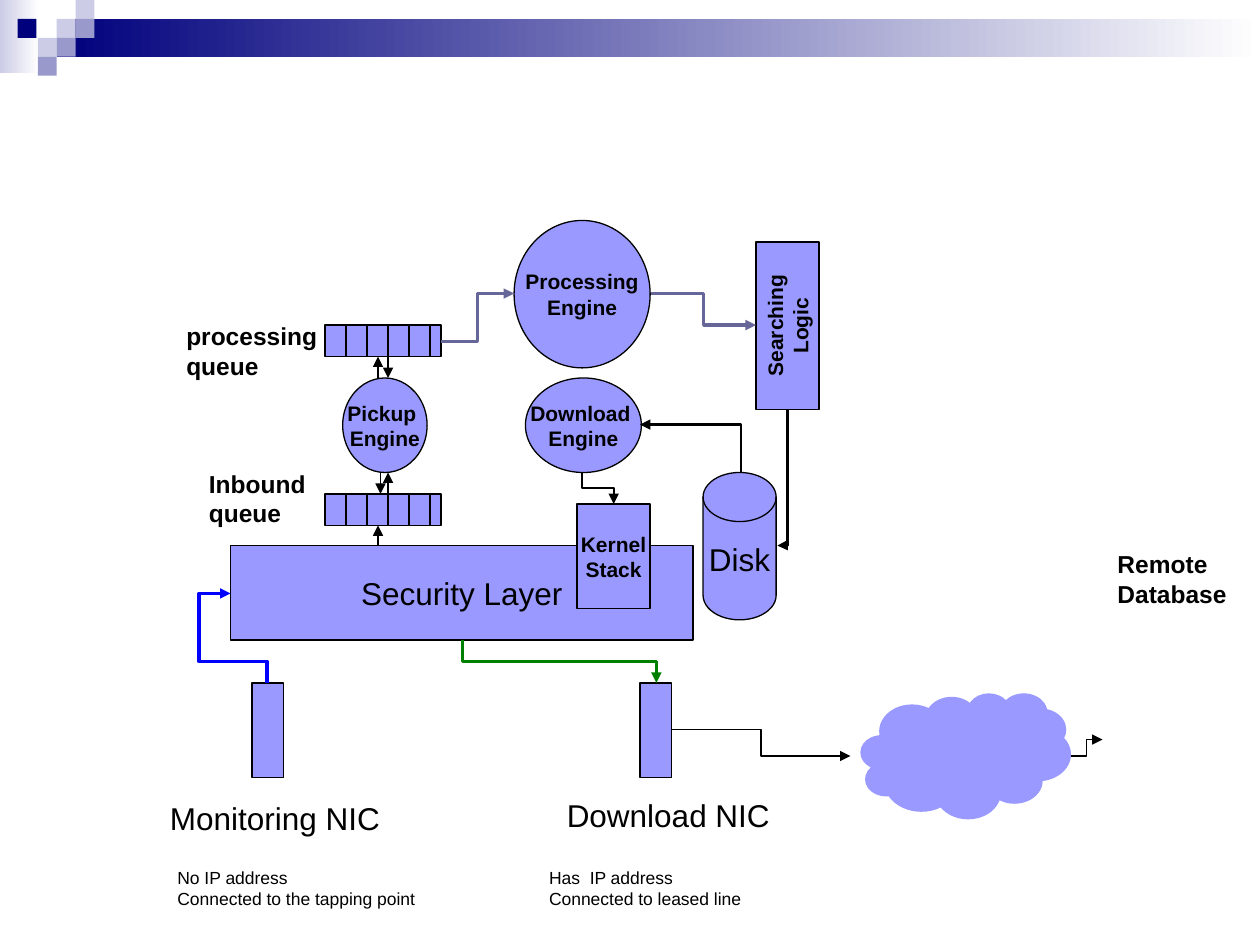
from lxml import etree
from pptx import Presentation
from pptx.dml.color import RGBColor
from pptx.enum.shapes import MSO_CONNECTOR, MSO_SHAPE
from pptx.enum.text import MSO_ANCHOR, MSO_AUTO_SIZE, PP_ALIGN
from pptx.oxml.ns import qn
from pptx.util import Inches, Pt

RECT, OVAL = MSO_SHAPE.RECTANGLE, MSO_SHAPE.OVAL
DISK, CLOUD = MSO_SHAPE.FLOWCHART_MAGNETIC_DISK, MSO_SHAPE.CLOUD_CALLOUT
LINE, ELBOW = MSO_CONNECTOR.STRAIGHT, MSO_CONNECTOR.ELBOW
MIDDLE, CENTER, LEFT = MSO_ANCHOR.MIDDLE, PP_ALIGN.CENTER, PP_ALIGN.LEFT
GROW = MSO_AUTO_SIZE.SHAPE_TO_FIT_TEXT
BLACK, WHITE, LILAC, SLATE = "000000", "FFFFFF", "9999FF", "666699"
NAVY, PALE, MID = "00007D", "CCCCE6", "9999CC"


def color(code):
    """Turn a hex string into a colour."""
    return RGBColor.from_string(code)


def write(shape, text, size, bold, align, wrap):
    """Fill a shape with lines of text."""
    frame = shape.text_frame
    frame.text = text
    frame.word_wrap = wrap
    for para in frame.paragraphs:
        para.alignment = align
        para.font.name = "Arial"
        para.font.size = Pt(size)
        para.font.bold = bold
        para.font.color.rgb = color(BLACK)


def block(shapes, kind, box, fill=LILAC, line=BLACK):
    """Add a flat filled shape, outlined if a line colour is given."""
    shape = shapes.add_shape(kind, *map(Inches, box))
    shape.shadow.inherit = False
    shape.fill.solid()
    shape.fill.fore_color.rgb = color(fill)
    if line:
        shape.line.color.rgb = color(line)
        shape.line.width = Pt(0.74)
    else:
        shape.line.fill.background()
    return shape


def node(shapes, kind, box, text, size=12, wrap=False):
    """Add a shape with centred text, bold when small."""
    shape = block(shapes, kind, box)
    shape.text_frame.vertical_anchor = MIDDLE
    write(shape, text, size, size == 12, CENTER, wrap)
    return shape


def label(shapes, box, text, size):
    """Add a free label, bold at the middle size."""
    shape = shapes.add_textbox(*map(Inches, box))
    write(shape, text, size, size == 14, LEFT, True)
    shape.text_frame.auto_size = GROW


def wire(shapes, start, end, tint=BLACK, width=0.74, head=True, kind=LINE):
    """Add a connector from start to end."""
    line = shapes.add_connector(kind, *map(Inches, start + end))
    line.line.color.rgb = color(tint)
    line.line.width = Pt(width)
    props = line.element.spPr
    if head:
        tail = etree.SubElement(props.find(qn("a:ln")), qn("a:tailEnd"))
        tail.set("type", "triangle")
    etree.SubElement(props, qn("a:effectLst"))
    return line


def bend(shapes, start, end, tint, width, turn=0, flip="", bends=3, adj=()):
    """Add an elbow arrow whose frame is turned about its middle."""
    wide, high = abs(end[0] - start[0]), abs(end[1] - start[1])
    if turn:
        wide, high = high, wide
    left = (start[0] + end[0] - wide) / 2
    top = (start[1] + end[1] - high) / 2
    line = wire(shapes, (left, top), (left + wide, top + high),
                tint, width, kind=ELBOW)
    props = line.element.spPr
    frame = props.find(qn("a:xfrm"))
    if turn:
        frame.set("rot", str(turn * 60000))
    if flip:
        frame.set("flip" + flip, "1")
    geom = props.find(qn("a:prstGeom"))
    geom.set("prst", f"bentConnector{bends}")
    guides = geom.find(qn("a:avLst"))
    for num, part in enumerate(adj, 1):
        guide = etree.SubElement(guides, qn("a:gd"))
        guide.set("name", f"adj{num}")
        guide.set("fmla", f"val {round(part * 100000)}")


def fade(shapes, box, tint):
    """Add a bar that fades to white on its right."""
    bar = block(shapes, RECT, box, line=None)
    bar.fill.gradient()
    bar.fill.gradient_angle = 180
    for stop, code in zip(bar.fill.gradient_stops, (WHITE, tint)):
        stop.color.rgb = color(code)


def banner(shapes, left, top):
    """Draw the top bar and its mosaic."""
    fade(shapes, (left, top, 0.31, 0.58), PALE)
    fade(shapes, (left + 0.45, top + 0.15, 9.55, 0.3), NAVY)
    tiles = [(3, 1, PALE), (4, 0, PALE), (4, 1, MID), (2, 2, PALE),
             (0.93, 1, NAVY), (3, 2, MID), (2, 3, MID)]
    for col, row, tint in tiles:
        spot = (left + col * 0.15, top + row * 0.15, 0.15, 0.15)
        block(shapes, RECT, spot, tint, None)


def queue(shapes, left, top):
    """Draw a queue of cells as one group."""
    cells = shapes.add_group_shape().shapes
    block(cells, RECT, (left, top, 0.92, 0.25))
    for num in range(1, 6):
        pos = left + num / 6
        wire(cells, (pos, top), (pos, top + 0.25), head=False)


def nodes(shapes):
    """Draw the engines, stores, layers and cards."""
    node(shapes, RECT, (1.83, 4.33, 3.67, 0.75), "Security Layer", 18)
    for left in (2, 5.08):
        block(shapes, RECT, (left, 5.42, 0.25, 0.75))
    for top in (3.92, 2.58):
        queue(shapes, 2.58, top)
    node(shapes, OVAL, (2.72, 3, 0.67, 0.75), "Pickup \nEngine")
    node(shapes, OVAL, (4.08, 1.75, 1.08, 1.17), "Processing\nEngine")
    node(shapes, OVAL, (4.17, 3, 0.92, 0.75), "Download \nEngine")
    node(shapes, DISK, (5.58, 3.75, 0.58, 1.17), "Disk", 18)
    search = node(shapes, RECT, (6, 1.92, 0.5, 1.33), "Searching\nLogic",
                  wrap=True)
    search.text_frame._txBody.bodyPr.set("vert", "vert270")
    cloud = block(shapes, CLOUD, (6.83, 5.5, 1.67, 1), line=None)
    cloud.adjustments[0] = -0.02
    cloud.adjustments[1] = 0.01


def labels(shapes):
    """Write the free labels."""
    for box, text, size in [
        ((1.25, 6.29, 1.95, 0.4), "Monitoring NIC", 18),
        ((4.4, 6.27, 1.9, 0.4), "Download NIC", 18),
        ((1.31, 6.83, 2.2, 0.44),
         "No IP address\nConnected to the tapping point", 10),
        ((4.26, 6.83, 1.8, 0.44),
         "Has  IP address\nConnected to leased line", 10),
        ((1.56, 3.67, 1.1, 0.57), "Inbound \nqueue", 14),
        ((1.38, 2.5, 1.35, 0.57), "processing \nqueue", 14),
        ((8.77, 4.31, 1.15, 0.57), "Remote\nDatabase", 14),
    ]:
        label(shapes, box, text, size)


def wires(shapes):
    """Draw the arrows between the parts."""
    half = (0.5,)
    for args in [
        ((2.12, 5.42), (1.83, 4.71), "0000FF", 2, 270, "V", 4, (0.24, 1.86)),
        ((3.67, 5.08), (5.21, 5.42), "008000", 2, 270, "H", 3, half),
        ((5.88, 3.75), (5.08, 3.37), BLACK, 1.25, 270, "V", 2),
        ((6.25, 3.25), (6.17, 4.33), BLACK, 1.25, 90, "", 2),
        ((3.5, 2.71), (4.08, 2.33), SLATE, 2, 0, "V", 3, half),
        ((5.17, 2.33), (6, 2.58), SLATE, 2, 0, "", 3, half),
        ((4.62, 3.75), (4.87, 4), BLACK, 1.25, 270, "H", 3, half),
        ((5.33, 5.79), (6.75, 6), BLACK, 0.74, 0, "", 3, half),
        ((8.5, 6), (8.75, 5.87), BLACK, 0.74, 0, "V", 3, half),
    ]:
        bend(shapes, *args)
    for pos, start, end in [(3.02, 3.75, 3.92), (3, 3, 2.83),
                            (3.08, 2.83, 3), (3.08, 3.92, 3.75),
                            (3, 4.33, 4.17)]:
        wire(shapes, (pos, start), (pos, end))


def main():
    """Build and save the slide."""
    deck = Presentation()
    deck.slide_width, deck.slide_height = Inches(10), Inches(7.5)
    shapes = deck.slides.add_slide(deck.slide_layouts[6]).shapes
    banner(shapes, 0, 0)
    nodes(shapes)
    labels(shapes)
    wires(shapes)
    node(shapes, RECT, (4.58, 4, 0.58, 0.83), "Kernel\nStack")
    deck.save("out.pptx")


main()
